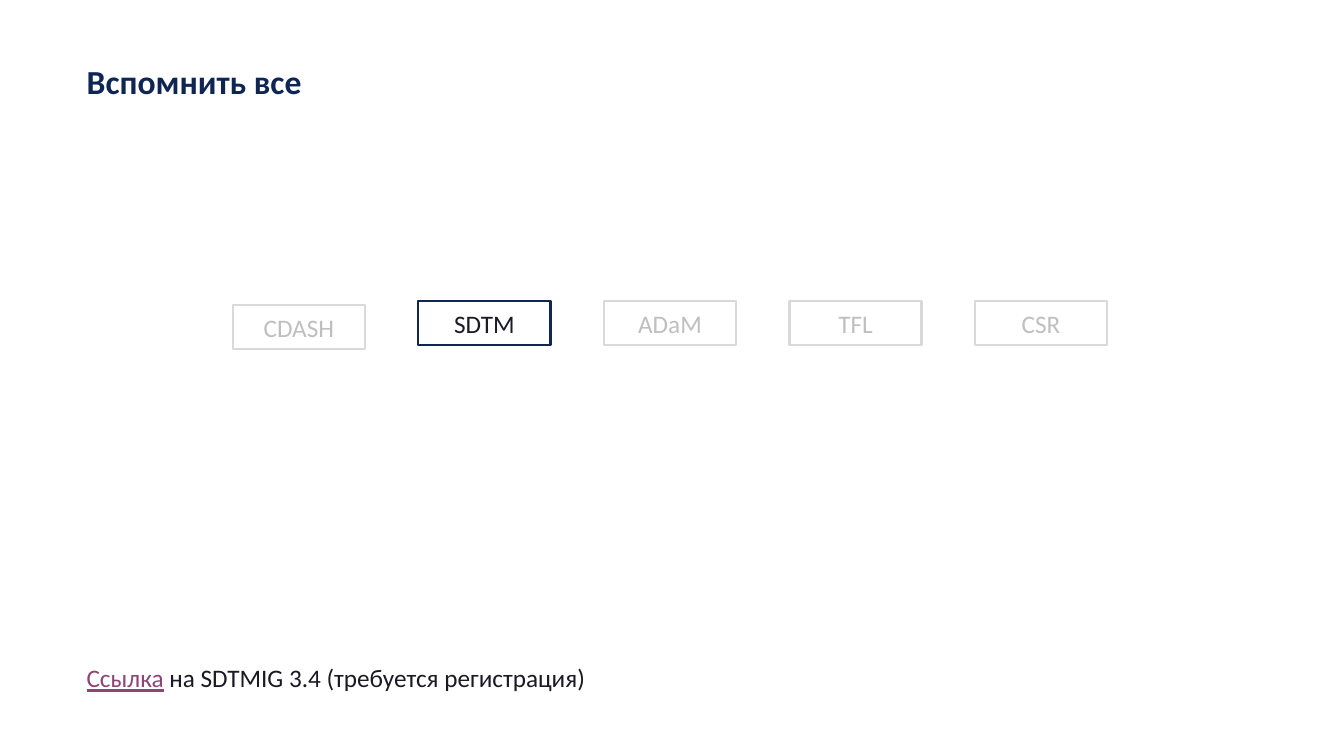
import pptx
import pptx.dml.color
import pptx.enum.shapes
import pptx.enum.text
import pptx.util

RGBColor = pptx.dml.color.RGBColor
NAVY = RGBColor(0x0F, 0x26, 0x54)
INK = RGBColor(0x1A, 0x19, 0x24)
LINK = RGBColor(0x8F, 0x45, 0x73)
PALE_LINE = RGBColor(0xD9, 0xD9, 0xD9)
PALE_TEXT = RGBColor(0xBF, 0xBF, 0xBF)

FONT = "Calibri"
EMU_PER_PX = 9144  # 100 px to the inch

STAGES = ["CDASH", "SDTM", "ADaM", "TFL", "CSR"]
CURRENT_STAGE = "SDTM"
STAGE_LEFT, STAGE_TOP, STAGE_PITCH = 231, 299, 184
STAGE_WIDTH, STAGE_HEIGHT = 131, 43
FIRST_STAGE_DROP = 4


def px(length):
    return pptx.util.Emu(length * EMU_PER_PX)


def format_font(font, size, color, bold=False, underline=False):
    font.name = FONT
    font.size = pptx.util.Pt(size)
    font.color.rgb = color
    font.bold = bold
    font.underline = underline


def set_title(slide, text):
    title = slide.shapes.title
    title.left, title.top, title.width, title.height = px(76), px(60), px(939), px(98)
    frame = title.text_frame
    frame.text = text
    frame.word_wrap = True
    frame.auto_size = pptx.enum.text.MSO_AUTO_SIZE.NONE
    frame.vertical_anchor = pptx.enum.text.MSO_ANCHOR.TOP
    paragraph = frame.paragraphs[0]
    paragraph.alignment = pptx.enum.text.PP_ALIGN.LEFT
    paragraph.line_spacing = 0.9
    format_font(paragraph.runs[0].font, 24, NAVY, bold=True)


def add_stage(slide, name, left, top, line_color, text_color):
    shape = slide.shapes.add_shape(
        pptx.enum.shapes.MSO_SHAPE.RECTANGLE,
        px(left), px(top), px(STAGE_WIDTH), px(STAGE_HEIGHT))
    shape.shadow.inherit = False
    shape.fill.background()
    shape.line.color.rgb = line_color
    shape.line.width = pptx.util.Pt(1.5)
    frame = shape.text_frame
    frame.text = name
    frame.vertical_anchor = pptx.enum.text.MSO_ANCHOR.MIDDLE
    paragraph = frame.paragraphs[0]
    paragraph.alignment = pptx.enum.text.PP_ALIGN.CENTER
    format_font(paragraph.runs[0].font, 18, text_color)


def add_stages(slide):
    for index, name in enumerate(STAGES):
        top = STAGE_TOP + (FIRST_STAGE_DROP if index == 0 else 0)
        colors = (NAVY, INK) if name == CURRENT_STAGE else (PALE_LINE, PALE_TEXT)
        add_stage(slide, name, STAGE_LEFT + index * STAGE_PITCH, top, *colors)


def add_source_note(slide, link_text, rest):
    box = slide.shapes.add_textbox(px(76), px(656), px(1142), px(34))
    box.text_frame.word_wrap = True
    paragraph = box.text_frame.paragraphs[0]
    paragraph.line_spacing = 0.9
    for text, color, underline in ((link_text, LINK, True), (rest, INK, False)):
        run = paragraph.add_run()
        run.text = text
        format_font(run.font, 18, color, underline=underline)


def main():
    presentation = pptx.Presentation()
    presentation.slide_width, presentation.slide_height = px(1333), px(750)
    title_only = presentation.slide_layouts[5]
    slide = presentation.slides.add_slide(title_only)
    set_title(slide, "Вспомнить все")
    add_stages(slide)
    add_source_note(slide, "Ссылка", " на SDTMIG 3.4 (требуется регистрация)")
    presentation.save("out.pptx")


if __name__ == "__main__":
    main()
